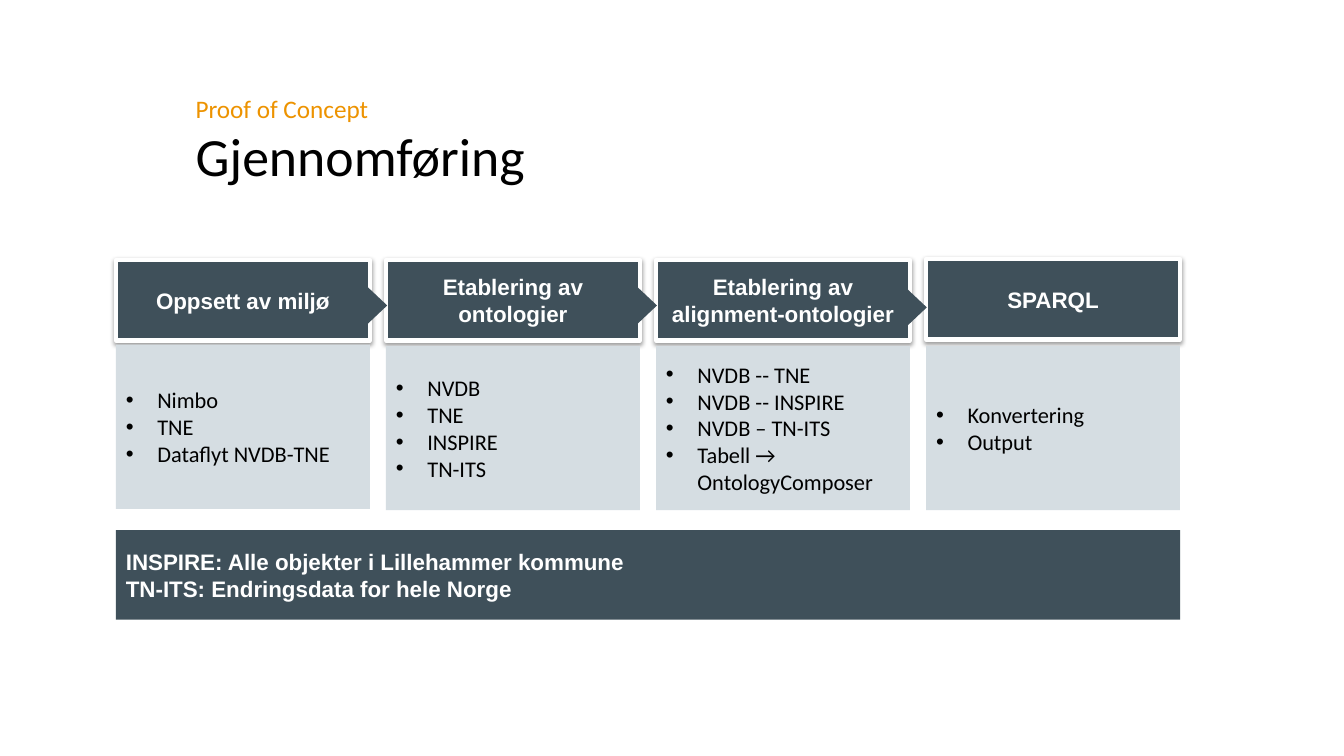
"""Build the slide that shows the four steps of the proof of concept."""
from lxml.etree import SubElement
from pptx import Presentation
from pptx.dml.color import RGBColor
from pptx.enum.shapes import MSO_SHAPE as SHAPE
from pptx.enum.text import MSO_ANCHOR as ANCHOR, PP_ALIGN as ALIGN
from pptx.oxml import parse_xml
from pptx.oxml.ns import qn
from pptx.util import Pt

SLATE, PALE, WHITE, BLACK, ORANGE = "3F505A", "D5DDE2", "FFFFFF", "000000", "ED9300"
LEFT, PITCH, WIDTH = 82.8, 192.9, 181.4
SHADOW = (
    '<a:outerShdw xmlns:a="http://schemas.openxmlformats.org/drawingml/2006/main" '
    'blurRad="40000" dist="20000" dir="5400000" rotWithShape="0">'
    '<a:srgbClr val="000000"><a:alpha val="38000"/></a:srgbClr></a:outerShdw>'
)


def add_block(kind, left, top, width, height, fill):
    block = slide.shapes.add_shape(kind, Pt(left), Pt(top), Pt(width), Pt(height))
    block.shadow.inherit = False
    block.fill.solid()
    block.fill.fore_color.rgb = RGBColor.from_string(fill)
    block.line.fill.background()
    return block


def write(box, text, size, color, font="Calibri", bold=False, align=ALIGN.LEFT, bullet=False):
    frame = box.text_frame
    frame.word_wrap = True
    frame.text = text
    for paragraph in frame.paragraphs:
        paragraph.alignment = align
        if bullet:
            properties = paragraph._p.get_or_add_pPr()
            properties.set("marL", str(Pt(22.5)))
            properties.set("indent", str(Pt(-22.5)))
            SubElement(properties, qn("a:buFont")).set("typeface", "Arial")
            SubElement(properties, qn("a:buChar")).set("char", "•")
        for run in paragraph.runs:
            run.font.size = Pt(size)
            run.font.name = font
            run.font.bold = bold
            run.font.color.rgb = RGBColor.from_string(color)


deck = Presentation()
deck.slide_width, deck.slide_height = Pt(960), Pt(540)
slide = deck.slides.add_slide(deck.slide_layouts[6])

for text, top, height, size, color in [
    ("Gjennomføring", 87.8, 39.6, 38.4, BLACK),
    ("Proof of Concept", 67, 26.6, 18, ORANGE),
]:
    heading = slide.shapes.add_textbox(Pt(139.7), Pt(top), Pt(780.5), Pt(height))
    frame = heading.text_frame
    frame.margin_left = frame.margin_top = frame.margin_right = frame.margin_bottom = 0
    write(heading, text, size, color)

steps = [
    ("Oppsett av miljø", 185.6, 246.2, ["Nimbo", "TNE", "Dataflyt NVDB-TNE"]),
    ("Etablering av ontologier", 185.6, 247, ["NVDB", "TNE", "INSPIRE", "TN-ITS"]),
    ("Etablering av alignment-ontologier", 185.6, 247,
     ["NVDB -- TNE", "NVDB -- INSPIRE", "NVDB – TN-ITS", "Tabell → OntologyComposer"]),
    ("SPARQL", 185, 247, ["Konvertering", "Output"]),
]
for column, (name, name_top, tasks_top, tasks) in enumerate(steps):
    left = LEFT + column * PITCH
    step = add_block(SHAPE.RECTANGLE, left, name_top, WIDTH, 57.6, SLATE)
    step.line.color.rgb = RGBColor.from_string(WHITE)
    step.line.width = Pt(3)
    step._element.spPr.find(qn("a:effectLst")).append(parse_xml(SHADOW))
    write(step, name, 16, WHITE, "Arial", True, ALIGN.CENTER)

    details = add_block(SHAPE.RECTANGLE, left, tasks_top, WIDTH, 117.4, PALE)
    write(details, "\n".join(tasks), 16, BLACK, bullet=True)

scope = add_block(SHAPE.RECTANGLE, LEFT, 378.7, 3 * PITCH + WIDTH, 64, SLATE)
scope.text_frame.vertical_anchor = ANCHOR.MIDDLE
write(scope, "INSPIRE: Alle objekter i Lillehammer kommune\nTN-ITS: Endringsdata for hele Norge",
      16, WHITE, "Arial", True)

for column, top in enumerate([205.2, 205.2, 206.6]):
    arrow = add_block(SHAPE.RIGHT_ARROW, 253.6 + column * 192.7, top, 23, 26, SLATE)
    arrow.adjustments[0] = 0.21
    arrow.adjustments[1] = 0.6

deck.save("out.pptx")
